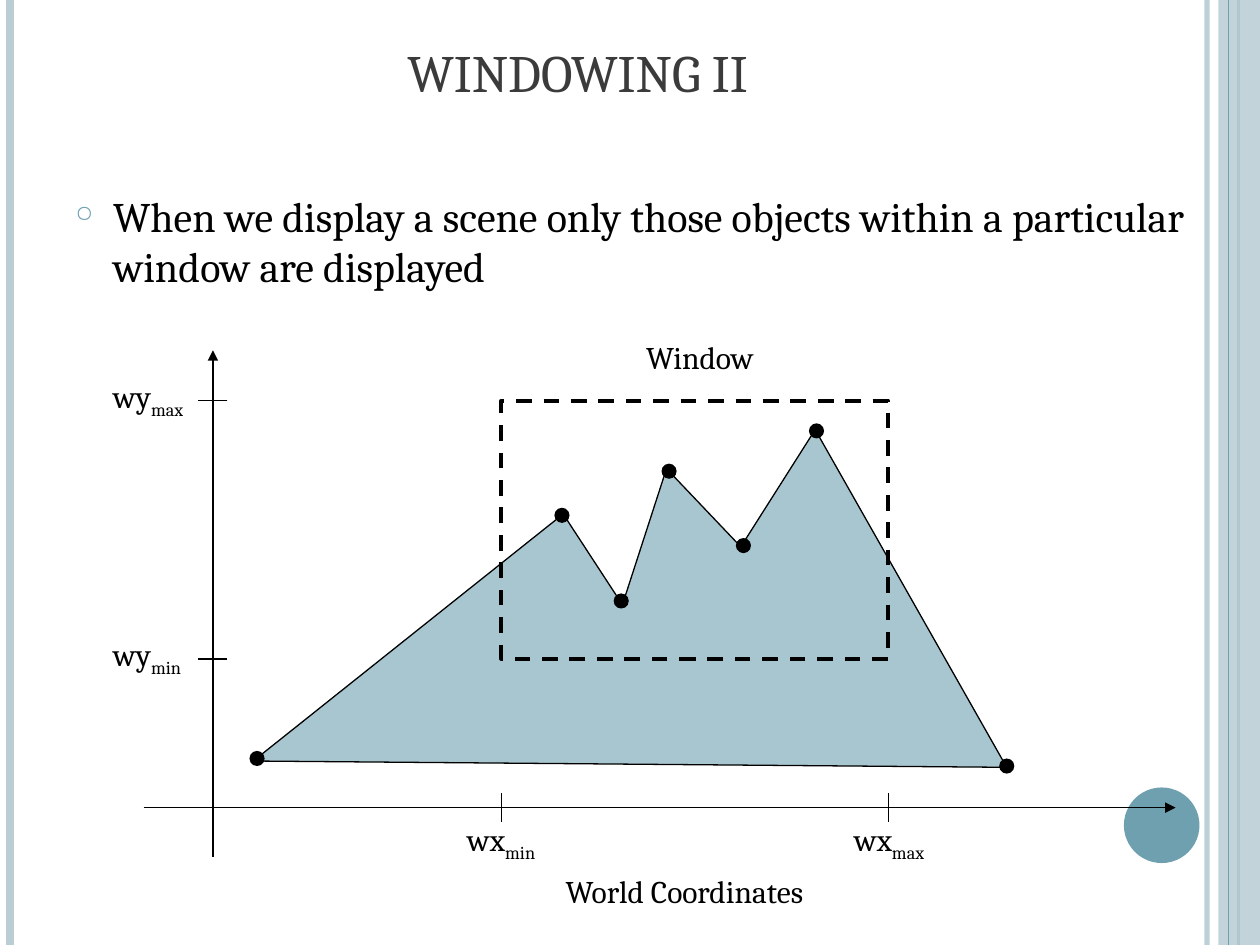
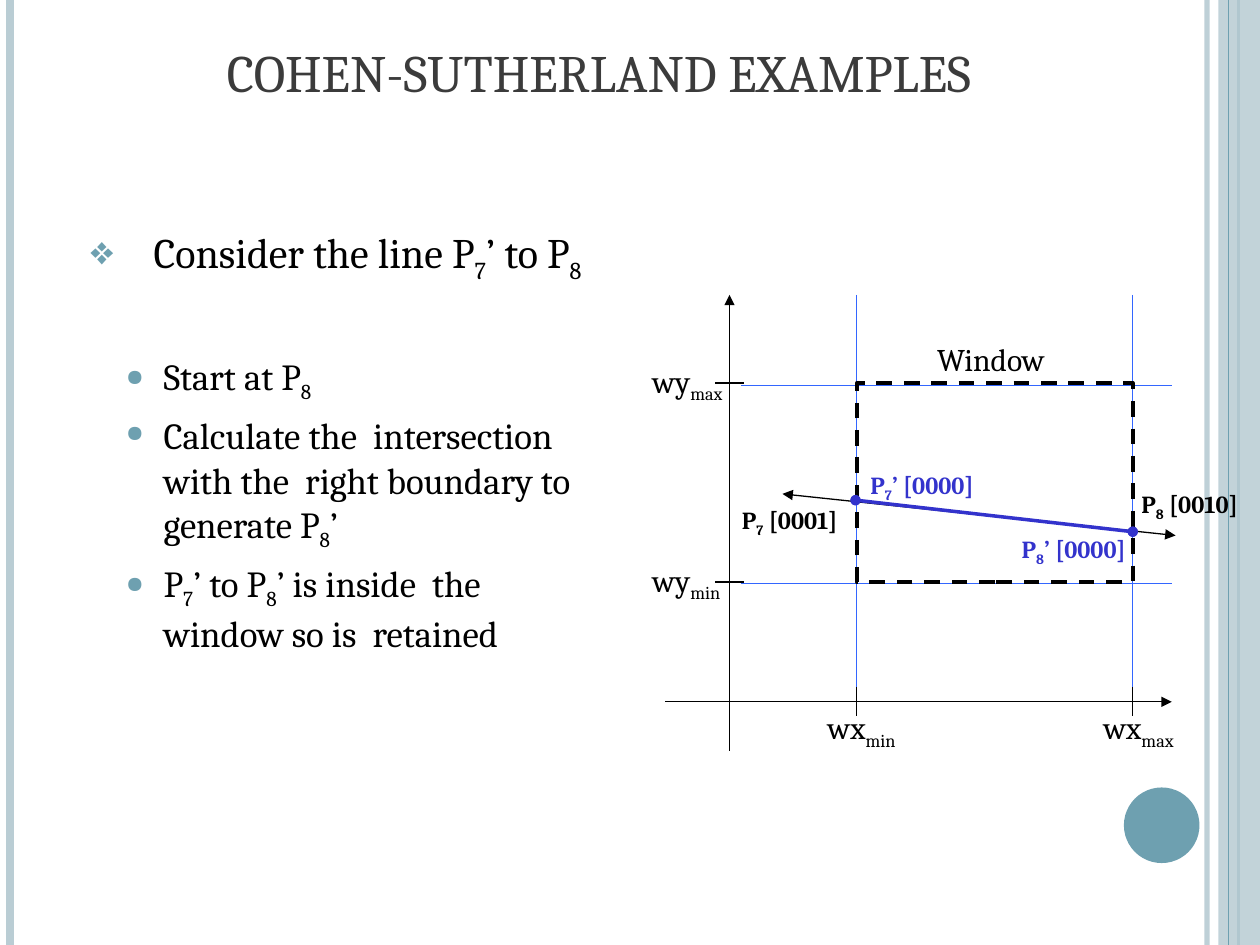
from lxml.etree import SubElement
from pptx import Presentation
from pptx.dml.color import RGBColor
from pptx.enum.dml import MSO_LINE
from pptx.enum.shapes import MSO_CONNECTOR, MSO_SHAPE
from pptx.enum.text import MSO_ANCHOR, MSO_AUTO_SIZE, PP_ALIGN
from pptx.oxml.ns import qn
from pptx.util import Inches, Pt

FONT = "Cambria"
COLORS = {
    "text": "000000",
    "title": "3B3B3B",
    "accent": "6EA0B0",
    "band": "BACDD4",
    "mountain": "A8C6D0",
    "guide": "3366FF",
    "clipped": "3333CC",
}
WIDTH, HEIGHT = 10, 7.5
TICK = 0.23


def rgb(name):
    return RGBColor.from_string(COLORS[name])


def set_alpha(fill_owner, percent):
    color = fill_owner.find(".//" + qn("a:srgbClr"))
    SubElement(color, qn("a:alpha")).set("val", str(percent * 1000))


def add_line(slide, start, end, color="text", width=0.75, head=None, tail=None):
    ln = slide.shapes.add_connector(
        MSO_CONNECTOR.STRAIGHT, *[Inches(v) for v in (*start, *end)])
    ln.line.color.rgb = rgb(color)
    ln.line.width = Pt(width)
    for tag, kind in (("a:headEnd", head), ("a:tailEnd", tail)):
        if kind:
            SubElement(ln.line._get_or_add_ln(), qn(tag)).set("type", kind)
    SubElement(ln._element.spPr, qn("a:effectLst"))
    return ln


def add_filled(slide, kind, box, color):
    sp = slide.shapes.add_shape(kind, *[Inches(v) for v in box])
    sp.shadow.inherit = False
    sp.fill.solid()
    sp.fill.fore_color.rgb = rgb(color)
    sp.line.fill.background()
    return sp


def add_dot(slide, center, size, color="text"):
    x, y = center
    add_filled(slide, MSO_SHAPE.OVAL, (x - size / 2, y - size / 2, size, size), color)


def add_runs(p, text, size, color="text", bold=False):
    for i, part in enumerate(text.split("|")):
        if not part:
            continue
        r = p.add_run()
        r.text = part
        r.font.name = FONT
        r.font.size = Pt(size)
        r.font.bold = bold
        r.font.color.rgb = rgb(color)
        if i % 2:
            r._r.get_or_add_rPr().set("baseline", "-25000")


def add_textbox(slide, box, wrap=True):
    tf = slide.shapes.add_textbox(*[Inches(v) for v in box]).text_frame
    tf.word_wrap = wrap
    return tf


def add_label(slide, at, text, width, size=18, color="text", bold=False):
    height = size / 45 + (0.05 if "|" in text else 0)
    tf = add_textbox(slide, (*at, width, height), wrap=False)
    tf.auto_size = MSO_AUTO_SIZE.SHAPE_TO_FIT_TEXT
    add_runs(tf.paragraphs[0], text, size, color, bold)


def add_bullet(p, char, percent, margin, indent):
    pPr = p._p.get_or_add_pPr()
    pPr.set("marL", str(Inches(margin)))
    pPr.set("indent", str(Inches(indent)))
    bu_color = SubElement(pPr, qn("a:buClr"))
    SubElement(bu_color, qn("a:srgbClr")).set("val", COLORS["accent"])
    SubElement(pPr, qn("a:buSzPct")).set("val", str(percent * 1000))
    SubElement(pPr, qn("a:buChar")).set("char", char)


def add_frame(slide):
    def vertical(x, color, width):
        return add_line(slide, (x, 0), (x, HEIGHT), color, width)

    set_alpha(vertical(9.58, "band", 3)._element, 93)
    vertical(0.08, "band", 4.5)
    vertical(9.83, "accent", 1.5)
    band = add_filled(slide, MSO_SHAPE.RECTANGLE, (9.67, 0, 0.33, HEIGHT), "band")
    set_alpha(band._element.spPr, 87)
    vertical(9.75, "accent", 0.75)
    add_dot(slide, (9.22, 6.55), 0.6, "accent")


def add_title(slide, text, left):
    tf = add_textbox(slide, (left, 0, 8.17, 0.87))
    tf.vertical_anchor = MSO_ANCHOR.BOTTOM
    p = tf.paragraphs[0]
    p.alignment = PP_ALIGN.CENTER
    add_runs(p, text, 30, "title")


def add_body(slide, box, items, right_inset):
    tf = add_textbox(slide, box)
    tf.margin_right = Inches(right_inset)
    for i, (text, size, bullet, space) in enumerate(items):
        p = tf.paragraphs[0] if i == 0 else tf.add_paragraph()
        if space:
            p.space_before = Pt(space)
        add_bullet(p, *bullet)
        add_runs(p, text, size)


def add_world_axes(slide, box, origin, window, y_label, x_label):
    left, top, width, height = box
    x0, y0 = left + origin[0], top + origin[1]
    wx, wy, ww, wh = left + window[0], top + window[1], window[2], window[3]
    add_line(slide, (left, y0), (left + width, y0), tail="triangle")
    add_line(slide, (x0, top + height), (x0, top), tail="triangle")

    frame = slide.shapes.add_shape(
        MSO_SHAPE.RECTANGLE, *[Inches(v) for v in (wx, wy, ww, wh)])
    frame.shadow.inherit = False
    frame.fill.background()
    frame.line.color.rgb = rgb("text")
    frame.line.width = Pt(2.25)
    frame.line.dash_style = MSO_LINE.DASH

    half = TICK / 2
    for y, name in ((wy, "max"), (wy + wh, "min")):
        add_line(slide, (x0 + half, y), (x0 - half, y))
        add_label(slide, (x0 + y_label[0], y + y_label[1]), f"wy|{name}", 0.85)
    for x, name in ((wx, "min"), (wx + ww, "max")):
        add_line(slide, (x, y0 - half), (x, y0 + half))
        add_label(slide, (x + x_label[0], y0 + x_label[1]), f"wx|{name}", 0.85)


def add_mountain(slide, outline):
    points = [(Inches(x), Inches(y)) for x, y in outline]
    builder = slide.shapes.build_freeform(*points[0], scale=1.0)
    builder.add_line_segments(points[1:], close=True)
    sp = builder.convert_to_shape()
    sp.shadow.inherit = False
    sp.fill.solid()
    sp.fill.fore_color.rgb = rgb("mountain")
    sp.line.color.rgb = rgb("text")
    sp.line.width = Pt(0.75)


def add_windowing_diagram(slide, box):
    left, top = box[:2]

    def place(points):
        return [(left + x, top + y) for x, y in points]

    add_mountain(slide, place([
        (0.87, 3.26), (3.33, 1.3), (3.8, 2.02), (4.15, 0.94),
        (4.74, 1.56), (5.33, 0.63), (6.85, 3.31)]))
    add_world_axes(slide, box, (0.55, 3.63), (2.84, 0.4, 3.07, 2.05),
                   (-0.89, -0.24), (-0.37, 0.05))
    add_label(slide, (left + 3.89, top - 0.15), "Window", 1.06)
    for vertex in place([
            (0.9, 3.24), (3.32, 1.31), (3.79, 1.99), (4.17, 0.96),
            (4.76, 1.55), (5.34, 0.64), (6.85, 3.3)]):
        add_dot(slide, vertex, 0.12)
    add_label(slide, (left + 3.25, top + 4.09), "World Coordinates", 2.11)


def add_clipping_diagram(slide, box):
    left, top, width, _ = box
    window = (1.52, 0.7, 2.19, 1.58)
    x_min, y_max = left + window[0], top + window[1]
    x_max, y_min = x_min + window[2], y_max + window[3]
    for x in (x_min, x_max):
        add_line(slide, (x, top), (x, top + 3.16), "guide")
    for y in (y_max + 0.02, y_min + 0.01):
        add_line(slide, (left + width, y), (left + 0.6, y), "guide")
    add_world_axes(slide, box, (0.51, 3.23), window, (-0.71, -0.22), (-0.33, 0))
    add_label(slide, (left + 2.06, top + 0.31), "Window", 1.06)

    add_line(slide, (left + 0.93, top + 1.58), (left + 4.05, top + 1.91),
             head="triangle", tail="triangle")
    for x, y, text, color in (
            (1.53, 1.34, "P|7|’ [0000]", "clipped"),
            (0.51, 1.62, "P|7| [0001]", "text"),
            (3.68, 1.49, "P|8| [0010]", "text"),
            (2.73, 1.85, "P|8|’ [0000]", "clipped")):
        add_label(slide, (left + x, top + y), text, 1.1, 14, color, True)
    ends = (x_min - 0.01, top + 1.63), (x_max, top + 1.88)
    for end in ends:
        add_dot(slide, end, 0.08, "clipped")
    add_line(slide, *ends, "clipped", 2, "oval", "oval")


def windowing_slide(slide):
    add_frame(slide)
    add_title(slide, "WINDOWING II", 0.5)
    add_body(slide, (0.5, 1.46, 9, 1.43), [
        ("When we display a scene only those objects within a particular "
         "window are displayed", 24, ("○", 54, 0.3, -0.3), 0)], 0.05)
    add_windowing_diagram(slide, (1.14, 2.78, 8.19, 4.02))


def cohen_sutherland_slide(slide):
    add_frame(slide)
    step = ("●", 62, 0.7, -0.3)
    add_body(slide, (0.5, 1.75, 4.42, 5.33), [
        ("Consider the line P|7|’ to P|8", 24, ("❖", 95, 0.62, -0.5), 0),
        ("Start at P|8", 21, step, 40),
        ("Calculate the  intersection with the  right boundary to "
         "generate P|8|’", 21, step, 5.2),
        ("P|7|’ to P|8|’ is inside  the window so is  retained", 21, step, 5.2),
    ], 0.2)
    add_clipping_diagram(slide, (5.28, 2.34, 4.02, 3.62))
    add_title(slide, "COHEN-SUTHERLAND EXAMPLES", 0.67)


def main():
    prs = Presentation()
    prs.slide_width, prs.slide_height = Inches(WIDTH), Inches(HEIGHT)
    for build in (windowing_slide, cohen_sutherland_slide):
        build(prs.slides.add_slide(prs.slide_layouts[6]))
    prs.save("out.pptx")


if __name__ == "__main__":
    main()
